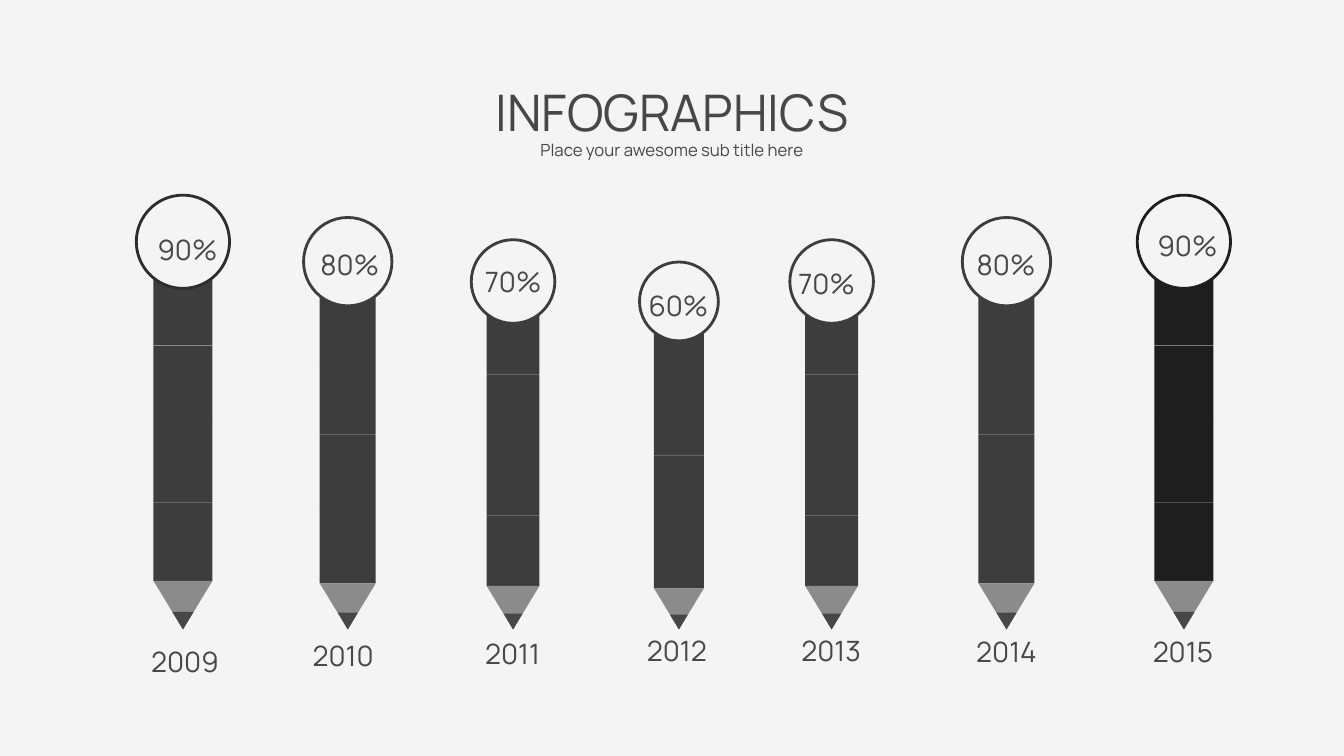
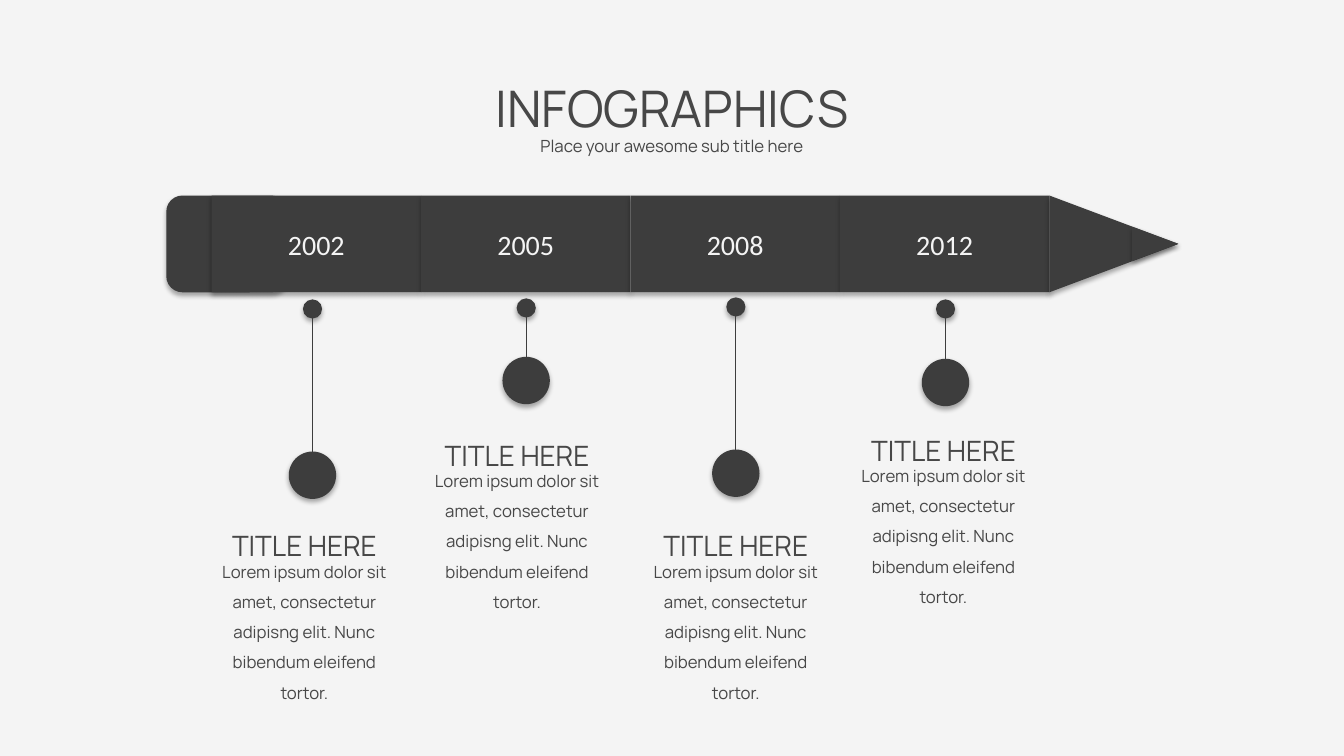
from lxml.etree import SubElement
from pptx import Presentation
from pptx.dml.color import RGBColor
from pptx.enum.shapes import MSO_CONNECTOR, MSO_SHAPE
from pptx.enum.text import MSO_ANCHOR, MSO_AUTO_SIZE, PP_ALIGN
from pptx.oxml.ns import qn
from pptx.util import Inches, Pt

CELL = Inches(0.1)
COLS, ROWS = 133.33, 75
PAPER, INK, DARK, BLACK = "F4F4F4", "474747", "3D3D3D", "1E1E1E"
RIM, WOOD = "2D2D2D", "8B8B8B"
FONT, YEAR_FONT = "Manrope", "Calibri"
LOREM = ("Lorem ipsum dolor sit amet, consectetur adipisng elit. "
         "Nunc bibendum eleifend tortor.")


def rgb(color):
    return RGBColor.from_string(color)


def cells(*values):
    return [round(v * CELL) for v in values]


def style(p, size, font, color):
    p.alignment = PP_ALIGN.CENTER
    for r in p.runs:
        r.font.size = Pt(size)
        r.font.name = font
        r.font.color.rgb = rgb(color)


def text(s, x, y, w, h, value, size):
    tf = s.shapes.add_textbox(*cells(x, y, w, h)).text_frame
    tf.word_wrap = True
    tf.auto_size = MSO_AUTO_SIZE.SHAPE_TO_FIT_TEXT
    tf.text = value
    p = tf.paragraphs[0]
    p.line_spacing = 1.5
    style(p, size, FONT, INK)


def shape(s, kind, x, y, w, h, fill, rim=None, rotation=0):
    sp = s.shapes.add_shape(kind, *cells(x, y, w, h))
    sp.shadow.inherit = False
    sp.rotation = rotation
    sp.fill.solid()
    sp.fill.fore_color.rgb = rgb(fill)
    if rim:
        sp.line.color.rgb = rgb(rim)
        sp.line.width = Pt(2)
    else:
        sp.line.fill.background()
    return sp


def raised(s, kind, x, y, w, h, rotation=0):
    sp = shape(s, kind, x, y, w, h, DARK, rotation=rotation)
    effects = sp._element.spPr.find(qn("a:effectLst"))
    shadow = SubElement(effects, qn("a:outerShdw"), blurRad=str(Pt(3.5)),
                        dist=str(Pt(2.2)), dir="5400000", rotWithShape="0")
    color = SubElement(shadow, qn("a:srgbClr"), val="000000")
    SubElement(color, qn("a:alpha"), val="32000")
    return sp


def new_slide(prs, top):
    s = prs.slides.add_slide(prs.slide_layouts[6])
    s.background.fill.solid()
    s.background.fill.fore_color.rgb = rgb(PAPER)
    margin = 6.2
    width = COLS - 2 * margin
    text(s, margin, top + 7.75, width, 3.1, "Place your awesome sub title here", 12)
    text(s, margin, top, width, 10.1, "INFOGRAPHICS", 36)
    return s


def pencil(s, cx, bottom, w, fill, rim):
    segment, wood, disc = 1.33 * w, 0.825 * w, 1.58 * w
    lead_w, lead_h = 0.36 * w, 0.3 * w
    left, top = cx - w / 2, bottom - wood - 4 * segment
    for i in range(4):
        shape(s, MSO_SHAPE.RECTANGLE, left, top + i * segment, w, segment, fill)
    shape(s, MSO_SHAPE.ISOSCELES_TRIANGLE, left, bottom - wood, w, wood, WOOD,
          rotation=180)
    shape(s, MSO_SHAPE.ISOSCELES_TRIANGLE, cx - lead_w / 2, bottom - lead_h,
          lead_w, lead_h, INK, rotation=180)
    shape(s, MSO_SHAPE.OVAL, cx - disc / 2, top - 0.43 * w - disc / 2,
          disc, disc, PAPER, rim)


def pencil_chart(prs):
    s = new_slide(prs, 4.6)
    pencils = [
        (2009, 90, 18.15, 0.45, 20.9, 0.2, 61.8, DARK, RIM),
        (2010, 80, 34.5, 0.2, 22.4, -0.45, 61.2, DARK, DARK),
        (2011, 70, 50.9, 0, 24.1, -0.05, 61, DARK, DARK),
        (2012, 60, 67.35, -0.05, 26.5, -0.2, 60.7, DARK, DARK),
        (2013, 70, 82.5, -0.5, 24.3, -0.05, 60.7, DARK, DARK),
        (2014, 80, 99.85, -0.05, 22.4, 0, 60.8, DARK, DARK),
        (2015, 90, 117.45, 0.35, 20.5, -0.1, 60.8, BLACK, BLACK),
    ]
    for year, share, cx, share_dx, share_y, year_dx, year_y, fill, rim in pencils:
        pencil(s, cx, 62.45, 5.85 - (90 - share) * 0.03, fill, rim)
        text(s, cx + share_dx - 4.6, share_y, 9.2, 6.1, f"{share}%", 20)
        text(s, cx + year_dx - 5.85, year_y, 11.7, 6.1, str(year), 20)


def point(s, x, cy, w, h):
    raised(s, MSO_SHAPE.ISOSCELES_TRIANGLE, x + w / 2 - h / 2, cy - w / 2,
           h, w, rotation=90)


def timeline(s, x, y, w, h, years):
    eraser, tip = 4.5, 12.8
    step = (w - eraser - tip) / len(years)
    raised(s, MSO_SHAPE.ROUNDED_RECTANGLE, x, y, 12, h)
    for i, year in enumerate(years):
        sp = raised(s, MSO_SHAPE.RECTANGLE, x + eraser + i * step, y, step, h)
        tf = sp.text_frame
        tf.vertical_anchor = MSO_ANCHOR.MIDDLE
        tf.text = year
        style(tf.paragraphs[0], 20, YEAR_FONT, PAPER)
    point(s, x + w - tip, y + h / 2, tip, h)
    point(s, x + w - 4.6, y + h / 2, 4.6, 3.4)


def callout(s, cx, dot_y, ball_y, text_cx, title_y):
    for y, size in ((dot_y, 1.9), (ball_y, 4.7)):
        raised(s, MSO_SHAPE.OVAL, cx - size / 2, y, size, size)
    line = s.shapes.add_connector(
        MSO_CONNECTOR.STRAIGHT, *cells(cx, ball_y, cx, dot_y + 1.6))
    line.line.color.rgb = rgb(DARK)
    line.line.width = Pt(0.5)
    SubElement(line._element.spPr, qn("a:effectLst"))
    w = 20.6
    text(s, text_cx - w / 2, title_y + 3.9, w, 16.2, LOREM, 12)
    text(s, text_cx - w / 2, title_y, w, 6.1, "TITLE HERE", 20)


def pencil_timeline(prs):
    s = new_slide(prs, 4.2)
    timeline(s, 16.5, 19.4, 100.4, 9.6, ["2002", "2005", "2008", "2012"])
    for place in [
        (31, 29.7, 44.8, 30.2, 50.3),
        (52.2, 29.6, 35.4, 51.3, 41.3),
        (73, 29.5, 44.6, 73, 50.3),
        (93.8, 29.7, 35.6, 93.6, 40.8),
    ]:
        callout(s, *place)


def main():
    prs = Presentation()
    prs.slide_width, prs.slide_height = cells(COLS, ROWS)
    pencil_chart(prs)
    pencil_timeline(prs)
    prs.save("out.pptx")


if __name__ == "__main__":
    main()
